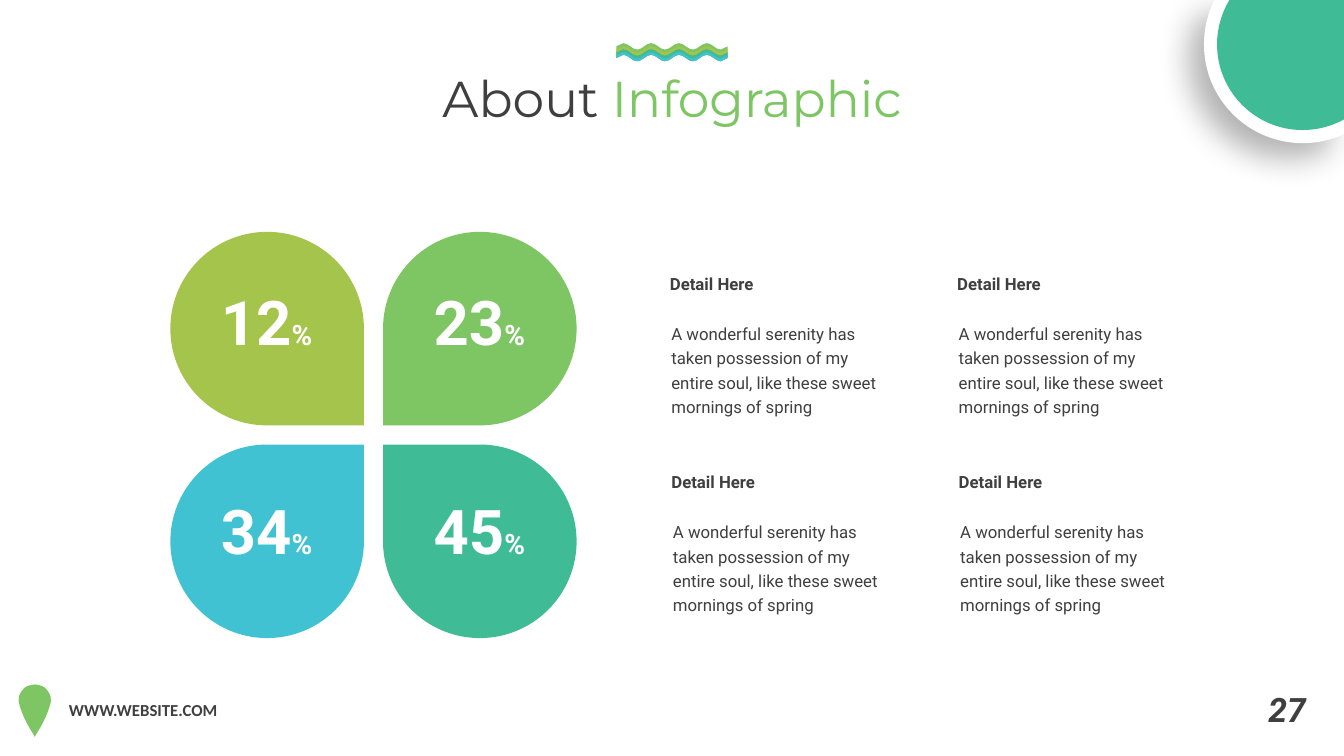
"""Build the four-petal infographic slide on a grid of tenth-inch cells."""
import math
from dataclasses import dataclass
from typing import Optional

import pptx
import pptx.dml.color
import pptx.enum.shapes
import pptx.enum.text
import pptx.oxml
import pptx.oxml.ns
import pptx.util
from lxml import etree

RGB = pptx.dml.color.RGBColor
DARK = RGB(0x3F, 0x3F, 0x3F)
WHITE = RGB(0xFF, 0xFF, 0xFF)
GREEN = RGB(0x7E, 0xC5, 0x64)
LIME = RGB(0xA5, 0xC4, 0x4B)
TEAL = RGB(0x3F, 0xBC, 0x96)
AQUA = RGB(0x40, 0xC2, 0xD2)
COLS, ROWS = 133.33, 75
LEFT = pptx.enum.text.PP_ALIGN.LEFT
CENTER = pptx.enum.text.PP_ALIGN.CENTER
HEAD = "Detail Here"
BODY = ("A wonderful serenity has taken possession of my entire soul, "
        "like these sweet mornings of spring")
Point = tuple[float, float]
Piece = tuple[Point, ...]


@dataclass(frozen=True)
class Box:
    """A place on the grid, in columns and rows."""
    col: float
    row: float
    wide: float
    high: float


@dataclass(frozen=True)
class Petal:
    """One teardrop with its value."""
    value: str
    color: RGB
    turn: int


@dataclass(frozen=True)
class Band:
    """One wavy stripe, from its middle row down to the shared base."""
    row: float
    color: RGB


PETALS = (Petal("12", LIME, 90), Petal("23", GREEN, 180),
          Petal("34", AQUA, 0), Petal("45", TEAL, 270))
BANDS = (Band(4.6, GREEN), Band(4.9, LIME), Band(5.2, TEAL), Band(5.5, AQUA))
PIN = ((0, 67.9), (0.35, 67.95), (0.7, 68.05), (1, 68.22), (1.25, 68.5),
       (1.45, 68.8), (1.57, 69.1), (1.6, 69.6), (1.5, 70), (1.3, 70.6),
       (1.05, 71.2), (0.7, 71.9), (0.35, 72.5), (0.1, 72.9), (0, 73.1))


def cell(count: float) -> int:
    """Turn a count of cells into a length."""
    return pptx.util.Inches(count / 10)


def place(box: Box) -> tuple[int, int, int, int]:
    """Turn a box into left, top, width and height."""
    return cell(box.col), cell(box.row), cell(box.wide), cell(box.high)


def trace(slide, pieces: list[Piece], color: RGB):
    """Draw a closed outline of lines (one point) and curves (three points)."""
    spots = [(cell(x), cell(y)) for piece in pieces for x, y in piece]
    pen = slide.shapes.build_freeform(*spots[0], scale=1.0)
    pen.add_line_segments(spots[1:], close=True)
    shape = pen.convert_to_shape()
    tag = pptx.oxml.ns.qn
    lines = iter(list(shape._element.iter(tag("a:lnTo"))))
    for piece in pieces[1:]:
        first, *rest = [next(lines) for _ in piece]
        if rest:
            curve = etree.Element(tag("a:cubicBezTo"))
            first.addprevious(curve)
            for line in (first, *rest):
                curve.append(line[0])
                line.getparent().remove(line)
    paint(shape, color)
    return shape


def paint(shape, color: RGB) -> None:
    """Give a shape a plain fill without line or shadow."""
    shape.shadow.inherit = False
    shape.fill.solid()
    shape.fill.fore_color.rgb = color
    shape.line.fill.background()


def write(slide, box: Box, text: str, *, size: float = 12, font: str = "Roboto",
          color: RGB = DARK, bold: bool = False, slant: bool = False,
          align=LEFT, space: float = 1.0, wrap: bool = True, tail: str = "",
          tail_size: Optional[float] = None, tail_color: Optional[RGB] = None) -> None:
    """Write one paragraph, with an optional tail in another size or colour."""
    frame = slide.shapes.add_textbox(*place(box)).text_frame
    frame.word_wrap = wrap
    frame.auto_size = pptx.enum.text.MSO_AUTO_SIZE.SHAPE_TO_FIT_TEXT
    line = frame.paragraphs[0]
    line.alignment, line.line_spacing = align, space
    parts = ((text, size, color), (tail, tail_size or size, tail_color or color))
    for words, points, tint in parts:
        if words:
            run = line.add_run()
            run.text = words
            run.font.name, run.font.size = font, pptx.util.Pt(points)
            run.font.bold, run.font.italic = bold, slant
            run.font.color.rgb = tint


def shade(shape) -> None:
    """Cast a soft shadow to the lower left."""
    tag = pptx.oxml.ns.qn
    effects = shape._element.spPr.find(tag("a:effectLst"))
    outer = etree.SubElement(effects, tag("a:outerShdw"), blurRad=str(pptx.util.Pt(23)),
                             dist=str(pptx.util.Pt(15)), dir=str(135 * 60000),
                             algn="tr", rotWithShape="0")
    black = etree.SubElement(outer, tag("a:srgbClr"), val="000000")
    etree.SubElement(black, tag("a:alpha"), val="29000")


def disc(slide, reach: float, color: RGB):
    """Draw the corner disc, cut off at the slide's edges."""
    col, row = 129.24, 4.4

    def spot(turn: float, pull: float = 0) -> Point:
        """Find a point on the rim, pulled along its tangent."""
        return (col + reach * (math.cos(turn) + pull * math.sin(turn)),
                row + reach * (math.sin(turn) - pull * math.cos(turn)))

    turns = (math.pi + math.asin(row / reach), math.pi, math.pi / 2,
             math.acos((COLS - col) / reach))
    pieces: list[Piece] = [((COLS, 0),), (spot(turns[0]),)]
    for start, end in zip(turns, turns[1:]):
        pull = 4 / 3 * math.tan((start - end) / 4)
        pieces.append((spot(start, pull), spot(end, -pull), spot(end)))
    return trace(slide, pieces, color)


def wave(row: float, step: int) -> list[Piece]:
    """List a wave's pieces, rightward for step 1 and leftward for -1."""
    start, half, swing = 61.15, 1.38, 0.32
    knots = [(start + half * (i + 0.5), row - swing * (-1) ** i) for i in range(8)]
    ends = [(start, row), (start + 8 * half, row)]
    knots, ends = knots[::step], ends[::step]
    curves = [((x + step * half * 0.36, y), (u - step * half * 0.36, v), (u, v))
              for (x, y), (u, v) in zip(knots, knots[1:])]
    return [(ends[0],), (knots[0],), *curves, (ends[1],)]


def footer(slide) -> None:
    """Draw the page number, pin and web address."""
    write(slide, Box(124.85, 67.9, 5.9, 5), "27", size=24, bold=True, slant=True, wrap=False)
    axis = 3.45
    right = [((axis + x, y),) for x, y in PIN]
    left = [((axis - x, y),) for x, y in PIN[-2:0:-1]]
    trace(slide, right + left, GREEN)
    write(slide, Box(5.85, 68.95, 25.3, 3), "WWW.WEBSITE.COM", font="Calibri", bold=True)


def header(slide) -> None:
    """Draw the corner disc, title and wavy stripes."""
    shade(disc(slide, 9.8, WHITE))
    disc(slide, 8.5, TEAL)
    write(slide, Box(41.03, 6.2, 51.3, 7.1), "About ", size=36, font="Montserrat",
          align=CENTER, wrap=False, tail="Infographic", tail_color=GREEN)
    for band in BANDS:
        trace(slide, wave(band.row, 1) + wave(5.75, -1), band.color)


def flower(slide) -> None:
    """Draw the petals and their values."""
    kind = pptx.enum.shapes.MSO_SHAPE.TEAR
    for i, petal in enumerate(PETALS):
        row, col = divmod(i, 2)
        box = Box(16.9 + 21.1 * col, 23 + 21.1 * row, 19.2, 19.2)
        shape = slide.shapes.add_shape(kind, *place(box))
        shape.rotation = petal.turn
        paint(shape, petal.color)
        write(slide, Box(17 + 21.1 * col, 27.7 + 20.7 * row, 18.9, 8.4), petal.value,
              size=44, color=WHITE, bold=True, align=CENTER, tail="%", tail_size=20)


def details(slide) -> None:
    """Write the two-by-two grid of details."""
    for i in range(4):
        col, row = divmod(i, 2)
        left, top = 65.47 + 28.5 * col + 0.15 * row, 26.05 + 19.65 * row
        write(slide, Box(left + 0.15, top + 5.2, 22.9, 10.5), BODY, space=1.2)
        write(slide, Box(left, top, 22.9, 3.4), HEAD, bold=True, space=1.3)


def main() -> None:
    """Build and save the slide."""
    deck = pptx.Presentation()
    deck.slide_width, deck.slide_height = cell(COLS), cell(ROWS)
    slide = deck.slides.add_slide(deck.slide_layouts[6])
    for part in (footer, header, flower, details):
        part(slide)
    deck.save("out.pptx")


if __name__ == "__main__":
    main()
